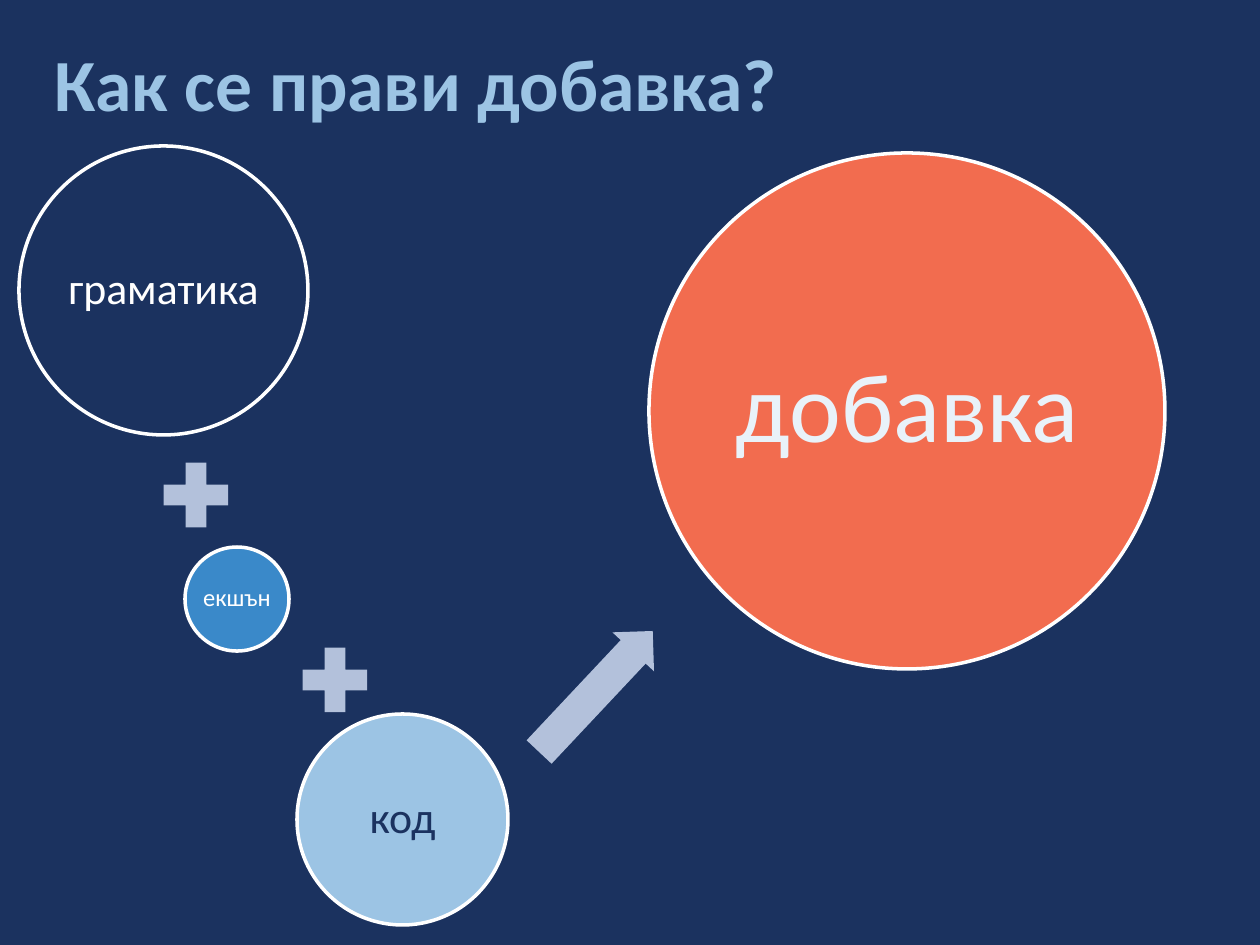
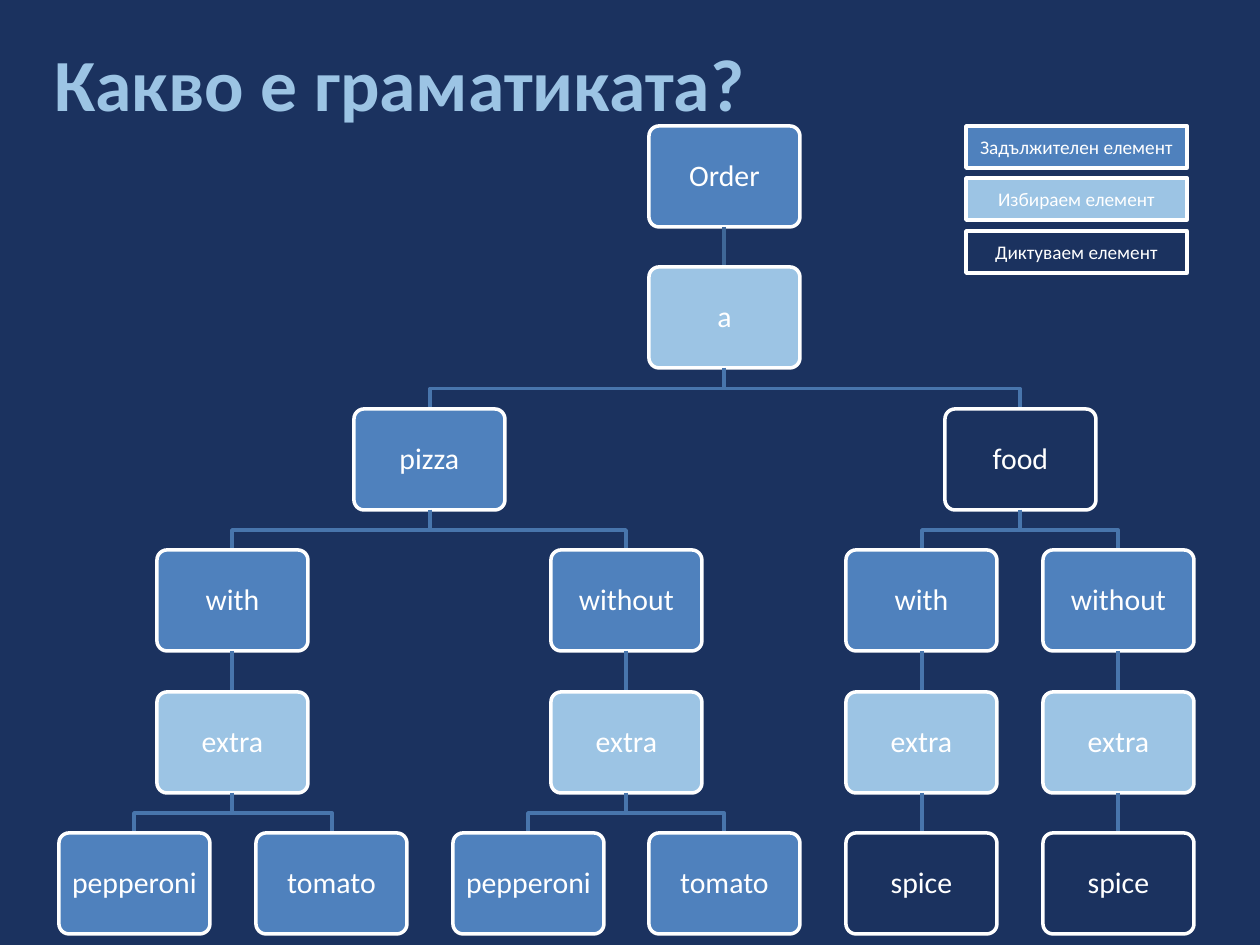
"""Build two slides: the parts of an add-on and the tree of its grammar."""
from dataclasses import dataclass
from typing import Optional

from lxml.etree import SubElement
from pptx import Presentation
from pptx.dml.color import RGBColor
from pptx.enum.shapes import MSO_CONNECTOR, MSO_SHAPE
from pptx.enum.text import MSO_ANCHOR, MSO_AUTO_SIZE, PP_ALIGN
from pptx.oxml.ns import qn
from pptx.util import Emu, Pt


@dataclass(frozen=True)
class Theme:
    """Colours, font and type sizes shared by the slides."""
    navy: str = "1B325F"
    sky: str = "9CC4E4"
    azure: str = "3A89C9"
    steel: str = "4F81BD"
    coral: str = "F26C4F"
    mist: str = "B3C1DB"
    pale: str = "E9F2F9"
    white: str = "FFFFFF"
    root_edge: str = "3F6797"
    edge: str = "4875AC"
    font: str = "Calibri"
    title_size: int = 42
    result_size: int = 56
    part_size: int = 25
    action_size: int = 14
    node_size: int = 17
    legend_size: int = 11
    line_width: int = 2


THEME = Theme()
MANDATORY, OPTIONAL, DICTATED = THEME.steel, THEME.sky, THEME.navy


@dataclass(frozen=True)
class Box:
    """A rectangle in pixels."""
    left: int
    top: int
    width: int
    height: int

    @property
    def center(self) -> int:
        """Return the horizontal middle."""
        return round(self.left + self.width / 2)

    @property
    def bottom(self) -> int:
        """Return the lower edge."""
        return self.top + self.height


@dataclass(frozen=True)
class Circle:
    """A labelled circle of the add-on formula."""
    text: str
    left: int
    top: int
    diameter: int
    fill: str
    color: str
    size: int
    inset: int


@dataclass(frozen=True)
class Node:
    """A word of the grammar with the words that may follow it."""
    text: str
    fill: str = MANDATORY
    children: tuple["Node", ...] = ()


PAGE = Box(0, 0, 1260, 945)
CIRCLES = (
    Circle("граматика", 19, 146, 289, THEME.navy, THEME.white, THEME.part_size, 4),
    Circle("екшън", 185, 547, 104, THEME.azure, THEME.white, THEME.action_size, 2),
    Circle("код", 297, 714, 211, THEME.sky, THEME.navy, THEME.part_size, 4),
    Circle("добавка", 649, 153, 516, THEME.coral, THEME.pale, THEME.result_size, 10),
)
PLUSES = (Box(152, 451, 88, 88), Box(291, 636, 88, 88))
ARROW = Box(513, 663, 166, 57)

TOPPINGS = (Node("pepperoni"), Node("tomato"))
SPICES = (Node("spice", DICTATED),)


def choices(endings: tuple[Node, ...]) -> tuple[Node, ...]:
    """Return the with and without branches that lead to the endings."""
    extra = Node("extra", OPTIONAL, endings)
    return tuple(Node(word, MANDATORY, (extra,)) for word in ("with", "without"))


GRAMMAR = Node("Order", MANDATORY, (Node("a", OPTIONAL, (
    Node("pizza", MANDATORY, choices(TOPPINGS)),
    Node("food", DICTATED, choices(SPICES)),
)),))
FIRST_CELL = Box(650, 126, 151, 101)
LEAF_LEFT, LEAF_STEP, LEVEL_STEP = 59, 196.8, 141.4
LEGEND = (("Задължителен елемент", MANDATORY), ("Избираем елемент", OPTIONAL),
          ("Диктуваем елемент", DICTATED))
LEGEND_CELL, LEGEND_STEP = Box(966, 126, 221, 42), 52.5


def px(pixels: float) -> Emu:
    """Turn pixels into EMU."""
    return Emu(round(pixels * 914400 / 126))


def frame(box: Box) -> tuple[Emu, ...]:
    """Return a box as EMU left, top, width and height."""
    return px(box.left), px(box.top), px(box.width), px(box.height)


def color_of(value: str) -> RGBColor:
    """Turn a hex text into a colour."""
    return RGBColor.from_string(value)


def write(target, text: str, *, size: int, color: str, bold: bool = False,
          align: PP_ALIGN = PP_ALIGN.CENTER, spacing: Optional[float] = None,
          inset: Optional[int] = None, wrap: bool = True) -> None:
    """Write one formatted line of text into a shape."""
    text_frame = target.text_frame
    text_frame.word_wrap = wrap
    if inset is not None:
        text_frame.margin_left = text_frame.margin_right = px(inset)
        text_frame.margin_top = text_frame.margin_bottom = px(inset)
    para = text_frame.paragraphs[0]
    para.alignment = align
    if spacing:
        para.line_spacing = spacing
    span = para.add_run()
    span.text = text
    span.font.name = THEME.font
    span.font.size = Pt(size)
    span.font.bold = bold
    span.font.color.rgb = color_of(color)


def add_shape(page, kind: MSO_SHAPE, box: Box, fill: str, *,
              outlined: bool = True, adjustments: tuple[float, ...] = ()):
    """Add a flat preset shape, with a white outline if wanted."""
    shape = page.shapes.add_shape(kind, *frame(box))
    shape.shadow.inherit = False
    shape.fill.solid()
    shape.fill.fore_color.rgb = color_of(fill)
    if outlined:
        shape.line.color.rgb = color_of(THEME.white)
        shape.line.width = Pt(THEME.line_width)
    else:
        shape.line.fill.background()
    for index, value in enumerate(adjustments):
        shape.adjustments[index] = value
    shape.text_frame.vertical_anchor = MSO_ANCHOR.MIDDLE
    return shape


def add_page(deck, title: str, title_width: int):
    """Add a navy page with its title."""
    page = deck.slides.add_slide(deck.slide_layouts[6])
    page.background.fill.solid()
    page.background.fill.fore_color.rgb = color_of(THEME.navy)
    heading = page.shapes.add_textbox(*frame(Box(42, 32, title_width, 102)))
    heading.text_frame.auto_size = MSO_AUTO_SIZE.SHAPE_TO_FIT_TEXT
    write(heading, title, size=THEME.title_size, color=THEME.sky, bold=True,
          align=PP_ALIGN.LEFT, wrap=False)
    return page


def add_edge(page, parent: Box, child: Box, color: str) -> None:
    """Join two tree cells with a straight or bent line."""
    start, end = parent.center, child.center
    if abs(start - end) <= 1:
        edge = page.shapes.add_connector(MSO_CONNECTOR.STRAIGHT, px(start), px(parent.bottom),
                                         px(start), px(child.top))
        SubElement(edge.element.spPr, qn("a:effectLst"))
    else:
        middle = (parent.bottom + child.top) / 2
        builder = page.shapes.build_freeform(px(start), px(parent.bottom))
        builder.add_line_segments([(px(start), px(middle)), (px(end), px(middle)),
                                   (px(end), px(child.top))], close=False)
        edge = builder.convert_to_shape()
        edge.shadow.inherit = False
        edge.fill.background()
    edge.line.color.rgb = color_of(color)
    edge.line.width = Pt(THEME.line_width)


def count_leaves(node: Node) -> int:
    """Count the columns that a branch takes."""
    return sum(map(count_leaves, node.children)) or 1


def column_of(node: Node, first: int) -> float:
    """Return the column of a node, midway between its outer children."""
    if not node.children:
        return first
    last = first + count_leaves(node) - count_leaves(node.children[-1])
    return (column_of(node.children[0], first) + column_of(node.children[-1], last)) / 2


def draw_branch(page, node: Node, *, first: int = 0, level: int = 0,
                parent: Optional[Box] = None) -> None:
    """Draw a node, the edge above it and everything below it."""
    cell = Box(round(LEAF_LEFT + column_of(node, first) * LEAF_STEP),
               round(FIRST_CELL.top + level * LEVEL_STEP), FIRST_CELL.width, FIRST_CELL.height)
    if parent:
        add_edge(page, parent, cell, THEME.root_edge if level == 1 else THEME.edge)
    shape = add_shape(page, MSO_SHAPE.ROUNDED_RECTANGLE, cell, node.fill, adjustments=(0.1,))
    write(shape, node.text, size=THEME.node_size, color=THEME.white, spacing=0.9, inset=9,
          wrap=False)
    for child in node.children:
        draw_branch(page, child, first=first, level=level + 1, parent=cell)
        first += count_leaves(child)


def build_formula(deck) -> None:
    """Build the slide that adds up the parts of an add-on."""
    page = add_page(deck, "Как се прави добавка?", 756)
    for circle in CIRCLES:
        box = Box(circle.left, circle.top, circle.diameter, circle.diameter)
        shape = add_shape(page, MSO_SHAPE.OVAL, box, circle.fill)
        write(shape, circle.text, size=circle.size, color=circle.color, spacing=0.9,
              inset=circle.inset, wrap=False)
    for plus in PLUSES:
        add_shape(page, MSO_SHAPE.MATH_PLUS, plus, THEME.mist, outlined=False)
    arrow = add_shape(page, MSO_SHAPE.RIGHT_ARROW, ARROW, THEME.mist, outlined=False,
                      adjustments=(0.6, 0.5))
    arrow.rotation = 313.2


def build_grammar(deck) -> None:
    """Build the slide with the grammar tree and its legend."""
    page = add_page(deck, "Какво е граматиката?", 722)
    draw_branch(page, GRAMMAR)
    for row, (text, fill) in enumerate(LEGEND):
        cell = Box(LEGEND_CELL.left, round(LEGEND_CELL.top + row * LEGEND_STEP),
                   LEGEND_CELL.width, LEGEND_CELL.height)
        shape = add_shape(page, MSO_SHAPE.RECTANGLE, cell, fill)
        write(shape, text, size=THEME.legend_size, color=THEME.white)


def main() -> None:
    """Build and save the deck."""
    deck = Presentation()
    deck.slide_width, deck.slide_height = px(PAGE.width), px(PAGE.height)
    build_formula(deck)
    build_grammar(deck)
    deck.save("out.pptx")


main()
